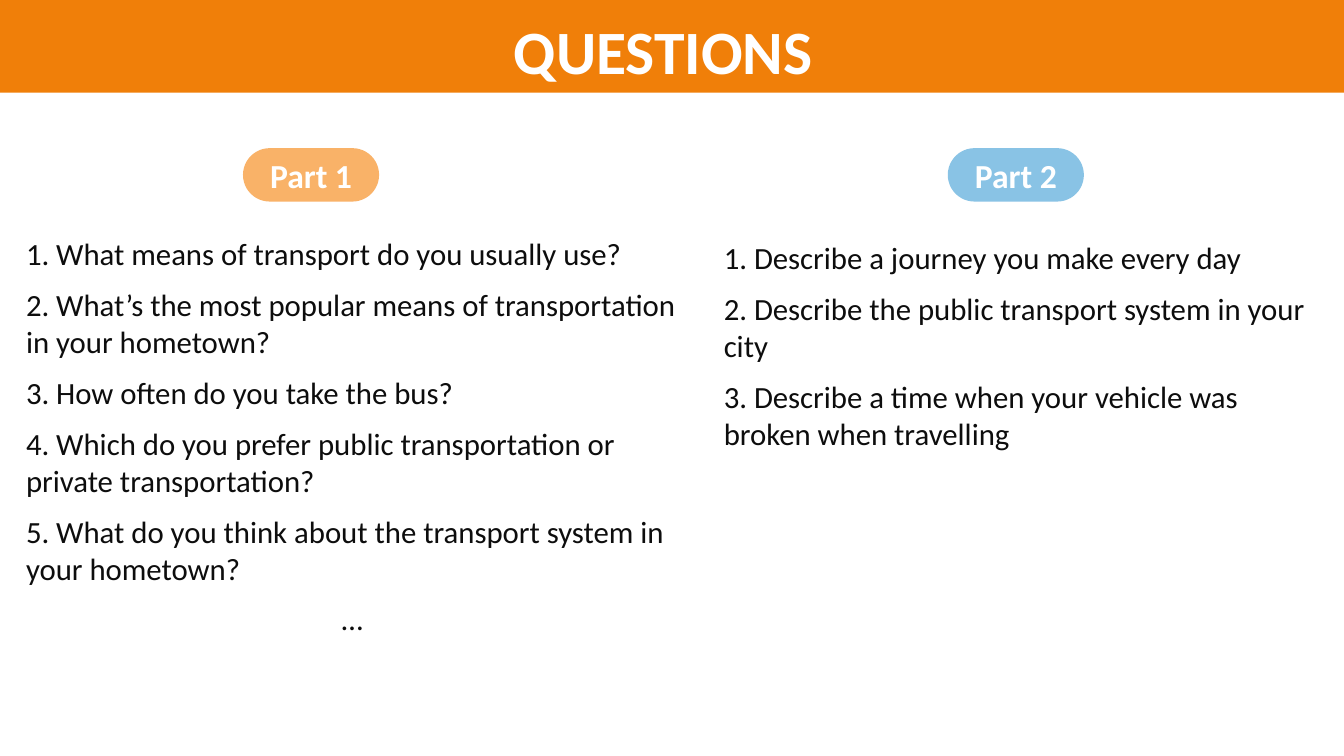
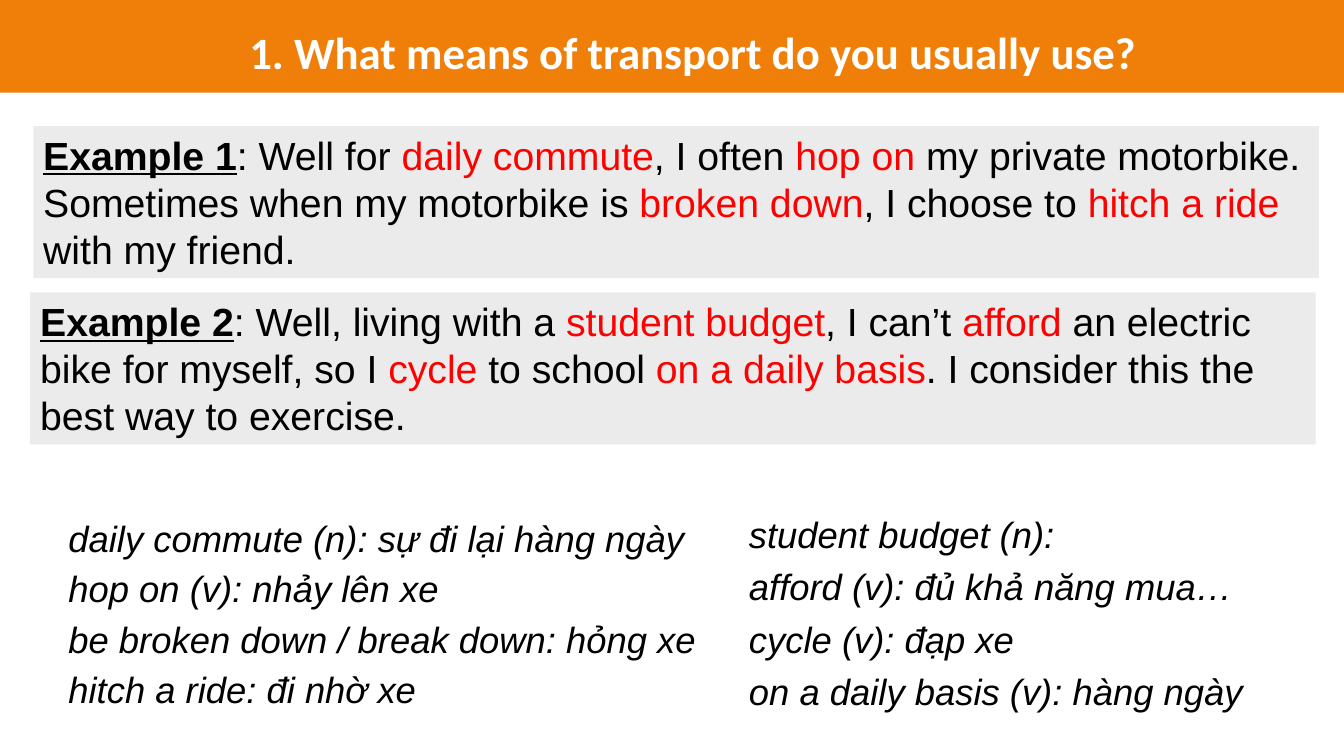
from pptx import Presentation
from pptx.dml.color import RGBColor
from pptx.enum.shapes import MSO_SHAPE as Shape
from pptx.enum.text import MSO_ANCHOR as Anchor, MSO_AUTO_SIZE as AutoSize, PP_ALIGN as Align
from pptx.util import Inches, Pt

WIDTH, HEIGHT = 13.33, 7.5
ORANGE, PEACH, BLUE, GRAY = "F07F09", "F9B268", "89C3E5", "EBEBEB"
WHITE, INK, BLACK, RED = "FFFFFF", "0D0D0D", "000000", "FF0000"

HEADING = {"name": "Calibri", "bold": True, "color": WHITE}
PILL = {**HEADING, "size": Pt(24)}
QUESTION = {"name": "Calibri", "size": Pt(22), "color": INK}
EXAMPLE = {"name": "Arial", "size": Pt(28), "color": BLACK}
EXAMPLE_LABEL = {**EXAMPLE, "bold": True, "underline": True}
KEYWORD = {**EXAMPLE, "color": RED}
VOCABULARY = {"name": "Arial", "size": Pt(26), "color": BLACK, "italic": True}

PART_1 = [
    "1. What means of transport do you usually use?",
    "2. What’s the most popular means of transportation in your hometown?",
    "3. How often do you take the bus?",
    "4. Which do you prefer public transportation or private transportation?",
    "5. What do you think about the transport system in your hometown?",
    "…",
]
PART_2 = [
    "1. Describe a journey you make every day",
    "2. Describe the public transport system in your city",
    "3. Describe a time when your vehicle was broken when travelling",
]
EXAMPLE_1 = (
    ": Well for *daily commute*, I often *hop on *my private motorbike. "
    "Sometimes when my motorbike is *broken down*, I choose to *hitch a ride *with my friend."
)
EXAMPLE_2 = (
    ": Well, living with a *student budget*, I can’t *afford* an electric bike for myself, "
    "so I *cycle* to school *on a daily basis*. I consider this the best way to exercise."
)
WORDS_1 = [
    "daily commute (n): sự đi lại hàng ngày",
    "hop on (v): nhảy lên xe",
    "be broken down / break down: hỏng xe",
    "hitch a ride: đi nhờ xe",
]
WORDS_2 = [
    "student budget (n):",
    "afford (v): đủ khả năng mua…",
    "cycle (v): đạp xe",
    "on a daily basis (v): hàng ngày",
]


def rgb(value):
    """Turn a hex string into a colour."""
    return RGBColor.from_string(value)


def add_run(paragraph, text, style):
    """Append a run formatted with the given style."""
    run = paragraph.add_run()
    run.text = text
    for name, value in style.items():
        if name == "color":
            run.font.color.rgb = rgb(value)
        else:
            setattr(run.font, name, value)


def format_frame(shape, anchor=Anchor.TOP):
    """Set wrapping and anchoring, and return the text frame."""
    frame = shape.text_frame
    settings = {"word_wrap": True, "auto_size": AutoSize.NONE, "vertical_anchor": anchor}
    for name, value in settings.items():
        setattr(frame, name, value)
    return frame


def add_block(slide, kind, box, fill):
    """Add a filled preset shape without outline or shadow."""
    shape = slide.shapes.add_shape(kind, *map(Inches, box))
    shape.shadow.inherit = False
    shape.fill.solid()
    shape.fill.fore_color.rgb = rgb(fill)
    shape.line.fill.background()
    return shape


def add_text(slide, box, lines, style, spacing=0):
    """Add a text box with one paragraph per line."""
    frame = format_frame(slide.shapes.add_textbox(*map(Inches, box)))
    for index, line in enumerate(lines):
        paragraph = frame.add_paragraph() if index else frame.paragraphs[0]
        paragraph.space_before = paragraph.space_after = Pt(spacing)
        add_run(paragraph, line, style)
    return frame


def add_titled_slide(presentation, title, box, size):
    """Add a title-only slide with the orange band behind its title."""
    slide = presentation.slides.add_slide(presentation.slide_layouts[5])
    band = add_block(slide, Shape.RECTANGLE, (0, 0, WIDTH, 0.92), ORANGE)
    placeholder = slide.shapes.title
    placeholder._element.addprevious(band._element)
    for name, value in zip(("left", "top", "width", "height"), box):
        setattr(placeholder, name, Inches(value))
    paragraph = format_frame(placeholder).paragraphs[0]
    paragraph.alignment = Align.CENTER
    add_run(paragraph, title, {**HEADING, "size": Pt(size)})
    return slide


def add_pill(slide, left, text, fill):
    """Add a rounded part label."""
    pill = add_block(slide, Shape.ROUNDED_RECTANGLE, (left, 1.47, 1.35, 0.53), fill)
    pill.adjustments[0] = 0.5
    paragraph = format_frame(pill, Anchor.MIDDLE).paragraphs[0]
    paragraph.alignment = Align.CENTER
    add_run(paragraph, text, PILL)


def add_example(slide, left, top, label, text):
    """Add a gray example panel whose starred phrases are red."""
    panel = add_block(slide, Shape.RECTANGLE, (left, top, 12.75, 1.51), GRAY)
    paragraph = format_frame(panel).paragraphs[0]
    paragraph.alignment = Align.LEFT
    add_run(paragraph, label, EXAMPLE_LABEL)
    for index, part in enumerate(text.split("*")):
        add_run(paragraph, part, KEYWORD if index % 2 else EXAMPLE)


def add_vocabulary(slide, left, top, width, step, words):
    """Add a column of evenly spaced vocabulary entries."""
    for row, word in enumerate(words):
        add_text(slide, (left, top + row * step, width, 0.54), [word], VOCABULARY)


def build_questions(presentation):
    """Build the list of questions in two parts."""
    slide = add_titled_slide(presentation, "QUESTIONS", (2.83, 0.08, 7.5, 0.84), 44)
    add_pill(slide, 2.41, "Part 1", PEACH)
    add_pill(slide, 9.4, "Part 2", BLUE)
    frame = add_text(slide, (0.16, 2.28, 6.67, 4.5), PART_1, QUESTION, spacing=5)
    frame.paragraphs[-1].alignment = Align.CENTER
    add_text(slide, (7.08, 2.32, 6.08, 2.6), PART_2, QUESTION, spacing=5)


def build_answers(presentation):
    """Build the sample answers with their vocabulary."""
    slide = add_titled_slide(presentation, PART_1[0], (1.5, 0.19, 10.75, 0.64), 32)
    add_example(slide, 0.33, 1.25, "Example 1", EXAMPLE_1)
    add_example(slide, 0.3, 2.9, "Example 2", EXAMPLE_2)
    add_vocabulary(slide, 0.58, 5.07, 7.08, 0.5, WORDS_1)
    add_vocabulary(slide, 7.33, 5.03, 6, 0.52, WORDS_2)


def main():
    """Build and save the presentation."""
    presentation = Presentation()
    presentation.slide_width = Inches(WIDTH)
    presentation.slide_height = Inches(HEIGHT)
    build_questions(presentation)
    build_answers(presentation)
    presentation.save("out.pptx")


if __name__ == "__main__":
    main()
